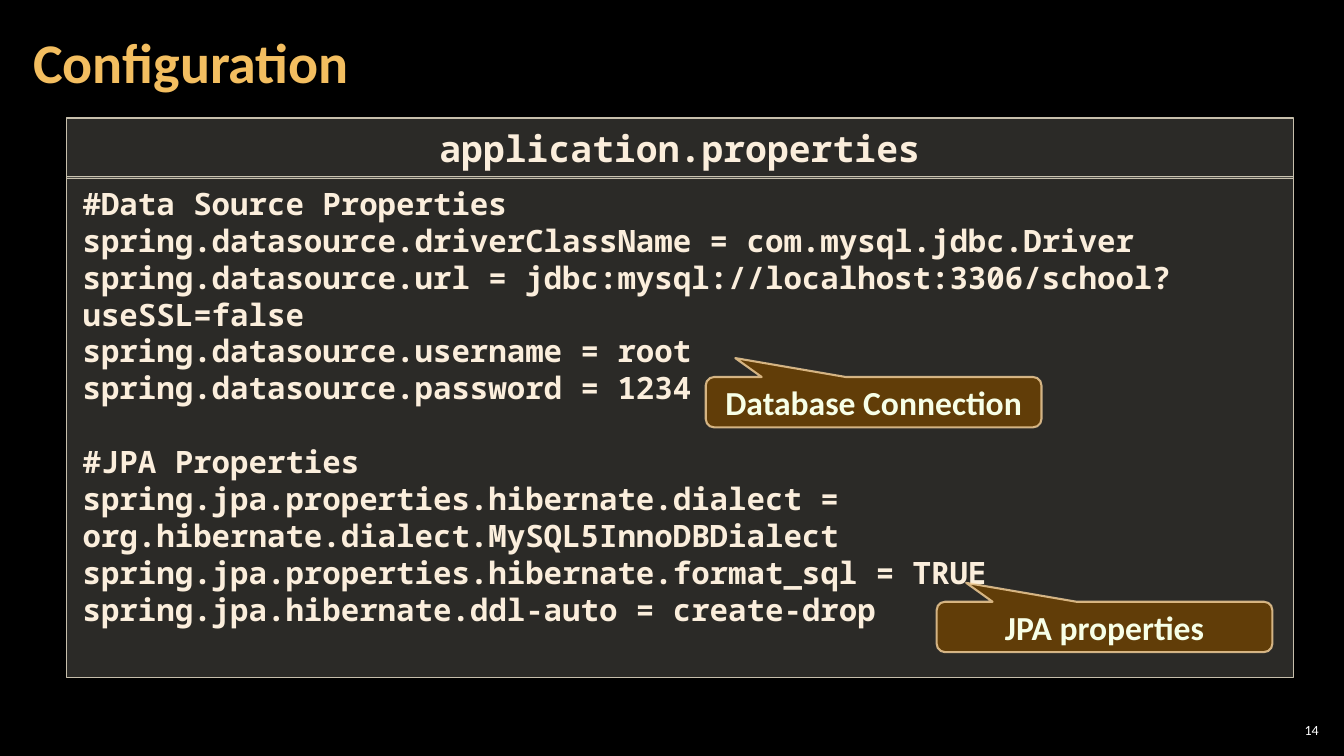
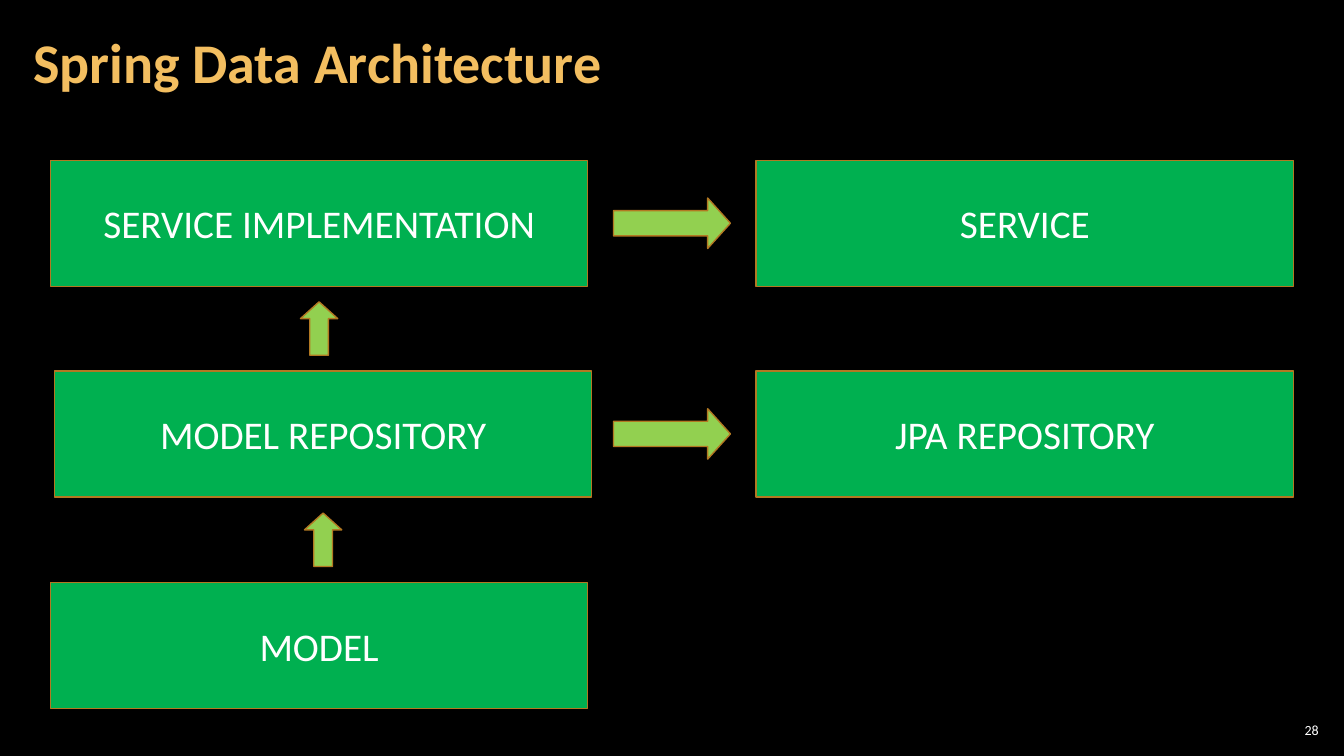
from pptx import Presentation
from pptx.dml.color import RGBColor
from pptx.enum.shapes import MSO_SHAPE as Shape
from pptx.enum.text import MSO_ANCHOR as Anchor, PP_ALIGN as Align
from pptx.oxml.ns import qn
from pptx.util import Inches, Pt
from lxml import etree

BLACK, WHITE, GOLD = "000000", "FFFFFF", "F3BE60"
PANEL, PANEL_LINE, CODE_TEXT = "D9D5C7", "C7BFAC", "FBEEDC"
CALLOUT, CALLOUT_LINE, CALLOUT_TEXT = "643F07", "F8D49E", "F7FFE7"
GREEN, ARROW_GREEN, BROWN = "00B050", "92D050", "B27822"
SANS, MONO = "Calibri", "Noto Sans Mono"

CODE_GROUPS = [
    [
        "#Data Source Properties",
        "spring.datasource.driverClassName = com.mysql.jdbc.Driver",
        "spring.datasource.url = jdbc:mysql://localhost:3306/school?useSSL=false",
        "spring.datasource.username = root",
        "spring.datasource.password = 1234",
    ],
    [
        "#JPA Properties",
        "spring.jpa.properties.hibernate.dialect = org.hibernate.dialect.MySQL5InnoDBDialect",
        "spring.jpa.properties.hibernate.format_sql = TRUE",
        "spring.jpa.hibernate.ddl-auto = create-drop",
    ],
]

BLOCK_WIDTH, BLOCK_HEIGHT = 5.33, 1.25
ROW_TOPS = (1.59, 3.68, 5.78)
LEFT_COLUMN, RIGHT_COLUMN = 0.5, 7.5


def color(hex_text):
    return RGBColor.from_string(hex_text)


def set_fill(fill, hex_text, opacity=100):
    """Solid fill; opacity is a percentage."""
    fill.solid()
    fill.fore_color.rgb = color(hex_text)
    if opacity < 100:
        for clr in fill._xPr.iter(qn("a:srgbClr")):
            etree.SubElement(clr, qn("a:alpha")).set("val", str(opacity * 1000))


def set_frame(shape, insets, anchor):
    frame = shape.text_frame
    frame.word_wrap = True
    frame.vertical_anchor = anchor
    side, end = (Inches(inset) for inset in insets)
    frame.margin_left = frame.margin_right = side
    frame.margin_top = frame.margin_bottom = end
    return frame


def write(para, text, size, hex_text, font=SANS, bold=False, align=Align.LEFT):
    para.alignment = align
    span = para.add_run()
    span.text = text
    span.font.size = Pt(size)
    span.font.name = font
    span.font.bold = bold
    span.font.color.rgb = color(hex_text)


def add_label(page, area, insets):
    box = page.shapes.add_textbox(*map(Inches, area))
    return set_frame(box, insets, Anchor.MIDDLE).paragraphs[0]


def add_page(deck, title, number):
    page = deck.slides.add_slide(deck.slide_layouts[6])
    set_fill(page.background.fill, BLACK)
    write(add_label(page, (12.65, 7.14, 0.47, 0.21), (0.04, 0.04)),
          number, 10, WHITE, align=Align.RIGHT)
    heading = add_label(page, (0.21, 0.04, 10.47, 1.21), (0.12, 0.04))
    heading.line_spacing = 0.9
    write(heading, title, 40, GOLD, bold=True)
    return page


def add_figure(page, kind, area, fill, line, weight=1, fill_opacity=100, line_opacity=100):
    figure = page.shapes.add_shape(kind, *map(Inches, area))
    figure.shadow.inherit = False
    set_fill(figure.fill, fill, fill_opacity)
    figure.line.width = Pt(weight)
    set_fill(figure.line.fill, line, line_opacity)
    return figure


def add_panel(page, area):
    panel = add_figure(page, Shape.RECTANGLE, area, PANEL, PANEL_LINE, fill_opacity=20)
    return set_frame(panel, (0.16, 0.08), Anchor.TOP)


def add_code(page, area, groups):
    frame = add_panel(page, area)
    para = frame.paragraphs[0]
    for group_index, group in enumerate(groups):
        for line_index, line in enumerate(group):
            if group_index or line_index:
                para = frame.add_paragraph()
            if group_index and not line_index:
                para.space_before = Pt(26.4)
            write(para, line, 22, CODE_TEXT, MONO, bold=True)


def add_callout(page, left, top, text):
    callout = add_figure(page, Shape.ROUNDED_RECTANGULAR_CALLOUT, (left, top, 3.33, 0.5),
                         CALLOUT, CALLOUT_LINE, 1.5, 95, 80)
    for index, value in enumerate((-0.412, -0.875, 0.167)):
        callout.adjustments[index] = value
    frame = set_frame(callout, (0.1, 0.05), Anchor.MIDDLE)
    write(frame.paragraphs[0], text, 24, CALLOUT_TEXT, bold=True, align=Align.CENTER)


def add_block(page, left, top, text):
    block = add_figure(page, Shape.RECTANGLE, (left, top, BLOCK_WIDTH, BLOCK_HEIGHT),
                       GREEN, BROWN)
    frame = set_frame(block, (0.1, 0.05), Anchor.MIDDLE)
    write(frame.paragraphs[0], text, 28, WHITE, align=Align.CENTER)


def add_arrow(page, kind, center_x, center_y, width, height):
    arrow = add_figure(page, kind, (center_x - width / 2, center_y - height / 2, width, height),
                       ARROW_GREEN, BROWN)
    arrow.adjustments[1] = 0.451


def build_configuration(deck):
    page = add_page(deck, "Configuration", "14")
    add_code(page, (0.66, 1.75, 12.17, 4.97), CODE_GROUPS)
    header = add_panel(page, (0.66, 1.17, 12.17, 0.6))
    write(header.paragraphs[0], "application.properties", 26, CODE_TEXT, MONO,
          bold=True, align=Align.CENTER)
    add_callout(page, 7, 3.74, "Database Connection")
    add_callout(page, 9.29, 5.97, "JPA properties")


def build_architecture(deck):
    page = add_page(deck, "Spring Data Architecture", "28")
    lefts = (LEFT_COLUMN, LEFT_COLUMN + 0.04, LEFT_COLUMN)
    names = ("SERVICE IMPLEMENTATION", "MODEL REPOSITORY", "MODEL")
    for left, top, name in zip(lefts, ROW_TOPS, names):
        add_block(page, left, top, name)

    column_gap_center = (LEFT_COLUMN + BLOCK_WIDTH + RIGHT_COLUMN) / 2
    for top, name in zip(ROW_TOPS, ("SERVICE", "JPA REPOSITORY")):
        add_block(page, RIGHT_COLUMN, top, name)
        add_arrow(page, Shape.RIGHT_ARROW, column_gap_center, top + BLOCK_HEIGHT / 2, 1.16, 0.5)

    for left, upper, lower in zip(lefts, ROW_TOPS, ROW_TOPS[1:]):
        add_arrow(page, Shape.UP_ARROW, left + BLOCK_WIDTH / 2,
                  (upper + BLOCK_HEIGHT + lower) / 2, 0.37, 0.53)


def main():
    deck = Presentation()
    deck.slide_width, deck.slide_height = Inches(13.33), Inches(7.5)
    build_configuration(deck)
    build_architecture(deck)
    deck.save("out.pptx")


if __name__ == "__main__":
    main()
